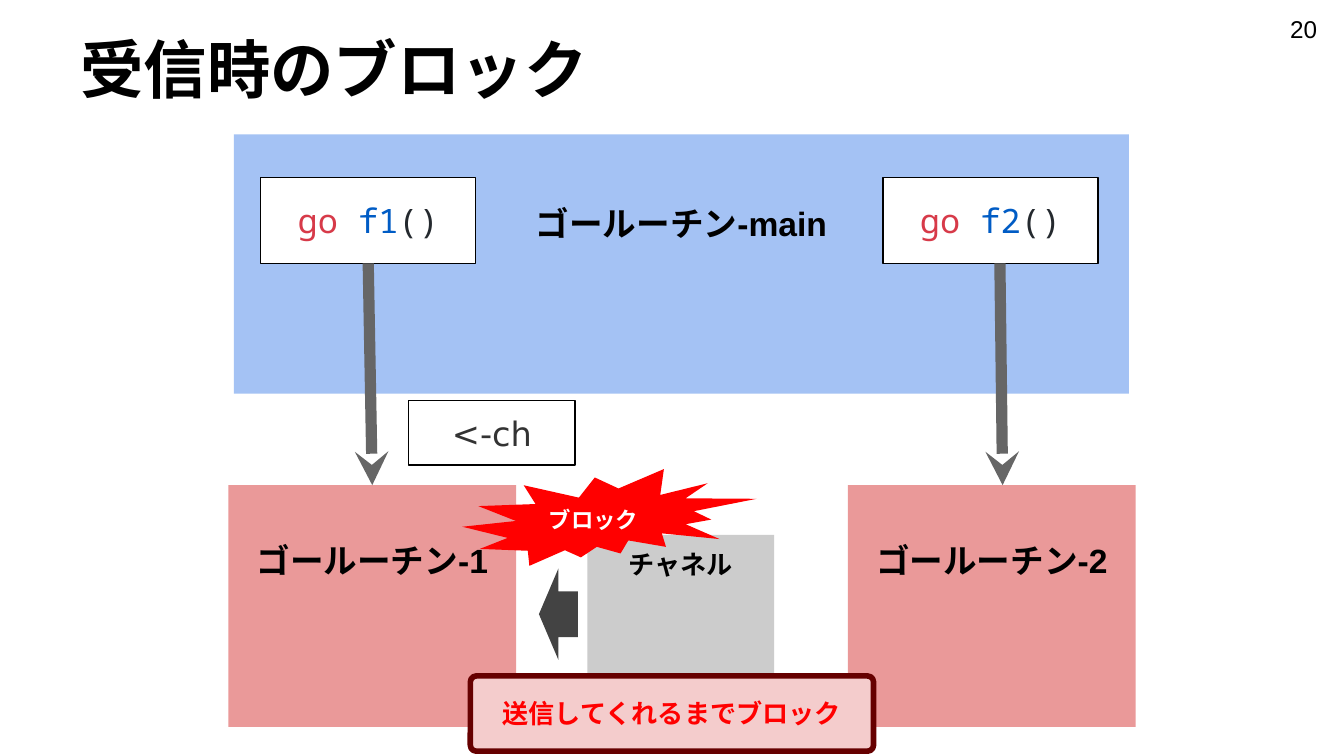
from dataclasses import dataclass
from pptx import Presentation
from pptx.dml.color import RGBColor as Rgb
from pptx.enum.shapes import MSO_CONNECTOR as Conn, MSO_SHAPE as Kind
from pptx.enum.text import MSO_ANCHOR as Anchor, PP_ALIGN as Align
from pptx.oxml.ns import qn
from pptx.util import Inches, Pt
from lxml.etree import SubElement as Sub


@dataclass(frozen=True)
class Theme:
    black: str = "000000"
    white: str = "FFFFFF"
    blue: str = "A4C2F4"
    pink: str = "EA9999"
    grey: str = "CCCCCC"
    line: str = "666666"
    dark: str = "434343"
    red: str = "FF0000"
    pale: str = "F4CCCC"
    wine: str = "660000"
    key: str = "D73A49"
    name: str = "005CC5"
    sign: str = "24292E"
    code: str = "333333"
    sans: str = "Arial"
    mono: str = "Noto Sans Mono"
    deja: str = "DejaVu Sans"
    title: int = 34
    body: int = 18
    small: int = 14
    page: int = 13
    tiny: int = 12


T = Theme()


def write(shape, runs, size, font=T.sans, bold=True, align=Align.CENTER,
          anchor=Anchor.MIDDLE, top=0.1, bottom=0.1):
    frame = shape.text_frame
    frame.word_wrap = True
    frame.vertical_anchor = anchor
    frame.margin_left = frame.margin_right = Inches(0.1)
    frame.margin_top, frame.margin_bottom = Inches(top), Inches(bottom)
    para = frame.paragraphs[0]
    para.alignment = align
    for text, color in runs:
        run = para.add_run()
        run.text = text
        run.font.name, run.font.size, run.font.bold = font, Pt(size), bold
        run.font.color.rgb = Rgb.from_string(color)


def block(slide, box, fill, kind=Kind.RECTANGLE, edge=None, width=0.75):
    shape = slide.shapes.add_shape(kind, *map(Inches, box))
    shape.shadow.inherit = False
    shape.fill.solid()
    shape.fill.fore_color.rgb = Rgb.from_string(fill)
    if edge:
        shape.line.color.rgb = Rgb.from_string(edge)
        shape.line.width = Pt(width)
    else:
        shape.line.fill.background()
    return shape


def label(slide, box, text, size, bold, align):
    shape = slide.shapes.add_textbox(*map(Inches, box))
    write(shape, [(text, T.black)], size, bold=bold, align=align)


def arrow(slide, start, end):
    line = slide.shapes.add_connector(Conn.STRAIGHT, *map(Inches, start + end))
    line.line.color.rgb = Rgb.from_string(T.line)
    line.line.width = Pt(6)
    Sub(line.line._get_or_add_ln(), qn("a:tailEnd"), type="stealth")
    Sub(line._element.spPr, qn("a:effectLst"))
    return line


def call(slide, box, name):
    shape = block(slide, box, T.white, edge=T.black)
    runs = [("go ", T.key), (name, T.name), ("()", T.sign)]
    write(shape, runs, T.body, T.mono, False)
    return shape


def main_box(slide, box):
    x, y, w, h = box
    shape = block(slide, box, T.blue)
    write(shape, [("ゴールーチン-main", T.black)], T.body, bottom=0.71)
    return [call(slide, (x + dx, y + 0.32, 1.6, 0.64), name)
            for dx, name in ((0.2, "f1"), (4.83, "f2"))]


def worker(slide, box, num):
    shape = block(slide, box, T.pink)
    write(shape, [(f"ゴールーチン-{num}", T.black)], T.body,
          anchor=Anchor.TOP, top=0.41)
    return shape


def channel(slide, box):
    x, y, w, h = box
    shape = block(slide, box, T.grey)
    write(shape, [("チャネル", T.black)], T.small, anchor=Anchor.TOP)
    burst = block(slide, (x - 0.93, y - 0.49, 2.19, 0.72), T.red,
                  Kind.EXPLOSION2)
    write(burst, [("ブロック", T.white)], T.tiny, align=Align.LEFT)
    block(slide, (x - 0.36, y + 0.25, 0.29, 0.68), T.dark, Kind.LEFT_ARROW)


def notice(slide, box):
    shape = block(slide, box, T.pale, Kind.ROUNDED_RECTANGLE, T.wine, 3)
    shape.adjustments[0] = 0.08
    write(shape, [("送信してくれるまでブロック", T.red)], T.small)


def receive(slide, box):
    shape = block(slide, box, T.white, edge=T.black)
    write(shape, [("<-ch", T.code)], T.body, T.deja, False)


def build():
    deck = Presentation()
    deck.slide_width, deck.slide_height = Inches(10), Inches(10 * 9 / 16)
    slide = deck.slides.add_slide(deck.slide_layouts[6])
    label(slide, (0.5, 0.23, 9, 0.56), "受信時のブロック", T.title, True,
          Align.LEFT)
    label(slide, (9.4, 0, 0.6, 0.43), "20", T.page, False, Align.CENTER)
    first, _ = main_box(slide, (1.74, 1, 6.66, 1.93))
    left, _ = [worker(slide, (x, 3.61, 2.14, 1.8), num)
               for x, num in ((1.7, 1), (6.31, 2))]
    link = arrow(slide, (2.74, 1.96), (2.77, 3.61))
    link.begin_connect(first, 2)
    link.end_connect(left, 0)
    arrow(slide, (7.44, 1.96), (7.46, 3.61))
    channel(slide, (4.37, 3.98, 1.39, 1.1))
    notice(slide, (3.5, 5.03, 3, 0.56))
    receive(slide, (3.04, 2.98, 1.24, 0.48))
    deck.save("out.pptx")


if __name__ == "__main__":
    build()
